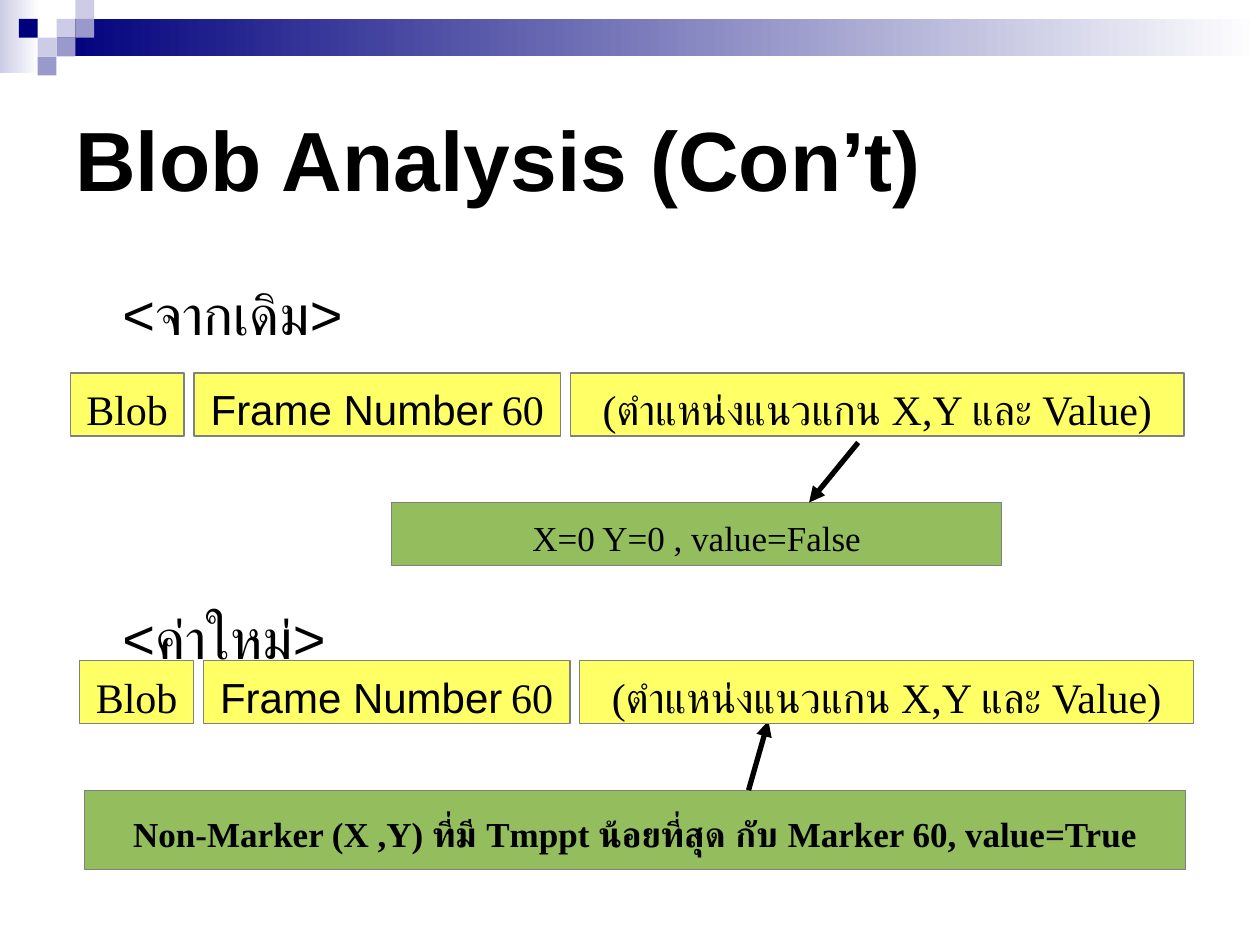
from dataclasses import dataclass

from lxml import etree
from pptx import Presentation
from pptx import util as u
from pptx.dml.color import RGBColor
from pptx.enum import shapes, text
from pptx.oxml.ns import qn
from pptx.slide import Slide

COLORS = {
    "black": "000000", "white": "FFFFFF", "navy": "00007D",
    "lavender": "CCCCE6", "violet": "9999CC",
    "yellow": "FFFF66", "green": "94BD5E", "gray": "808080",
}
SANS, SERIF = "Arial", "Times New Roman"


def rgb(name):
    return RGBColor.from_string(COLORS[name])


@dataclass
class SlideBuilder:
    slide: Slide
    ink: str = "black"
    outline: str = "gray"

    def style_font(self, font, size, name, bold=False):
        font.size, font.name, font.bold = u.Pt(size), name, bold
        font.color.rgb = rgb(self.ink)

    def shape(self, kind, left, top, width, height):
        shape = self.slide.shapes.add_shape(
            kind, u.Cm(left), u.Cm(top), u.Cm(width), u.Cm(height))
        shape.shadow.inherit = False
        return shape

    def block(self, left, top, width, height, color):
        block = self.shape(shapes.MSO_SHAPE.RECTANGLE, left, top, width, height)
        block.line.fill.background()
        block.fill.solid()
        block.fill.fore_color.rgb = rgb(color)

    def fade(self, left, top, width, height, color):
        band = self.shape(shapes.MSO_SHAPE.RECTANGLE, left, top, width, height)
        band.line.fill.background()
        band.fill.gradient()
        band.fill.gradient_angle = 0
        for stop, name in zip(band.fill.gradient_stops, (color, "white")):
            stop.color.rgb = rgb(name)

    def label(self, left, top, width, height, wording, size, bold=False,
              anchor=text.MSO_ANCHOR.TOP):
        label = self.slide.shapes.add_textbox(
            u.Cm(left), u.Cm(top), u.Cm(width), u.Cm(height))
        frame = label.text_frame
        frame.word_wrap, frame.vertical_anchor = True, anchor
        paragraph = frame.paragraphs[0]
        paragraph.text = wording
        self.style_font(paragraph.font, size, SANS, bold)

    def box(self, left, top, width, height, color, runs, bold=False):
        """Draw a filled box; runs is a list of (wording, size, font name)."""
        box = self.shape(shapes.MSO_SHAPE.ROUNDED_RECTANGLE,
                         left, top, width, height)
        box.adjustments[0] = 0
        box.fill.solid()
        box.fill.fore_color.rgb = rgb(color)
        box.line.color.rgb = rgb(self.outline)
        box.line.width = u.Pt(0.75)
        frame = box.text_frame
        frame.margin_left = frame.margin_right = 0
        frame.margin_top = frame.margin_bottom = 0
        frame.word_wrap = True
        frame.vertical_anchor = text.MSO_ANCHOR.MIDDLE
        paragraph = frame.paragraphs[0]
        paragraph.alignment = text.PP_ALIGN.CENTER
        paragraph.line_spacing = 1.16
        if len(runs) == 1:
            paragraph.text = runs[0][0]
            self.style_font(paragraph.font, *runs[0][1:], bold)
            return
        for wording, size, name in runs:
            run = paragraph.add_run()
            run.text = wording
            self.style_font(run.font, size, name, bold)

    def arrow(self, *ends):
        arrow = self.slide.shapes.add_connector(
            shapes.MSO_CONNECTOR.STRAIGHT, *(u.Cm(end) for end in ends))
        arrow.line.color.rgb = rgb(self.ink)
        arrow.line.width = u.Pt(3)
        etree.SubElement(arrow.line._get_or_add_ln(), qn("a:tailEnd"),
                         type="triangle")
        etree.SubElement(arrow._element.spPr, qn("a:effectLst"))

    def record(self, left, top):
        """Draw one row of blob fields, side by side with equal gaps."""
        fields = [
            (2.29, [("Blob", 24, SERIF)]),
            (7.39, [("Frame Number", 24, SANS), (" ", 18, SANS),
                    ("60", 24, SERIF)]),
            (12.37, [("(ตำแหน่งแนวแกน X,Y และ Value)", 24, SERIF)]),
        ]
        for width, runs in fields:
            self.box(left, top, width, 1.27, "yellow", runs)
            left += width + 0.2


def main():
    presentation = Presentation()
    presentation.slide_width, presentation.slide_height = u.Cm(25.4), u.Cm(19.05)
    builder = SlideBuilder(
        presentation.slides.add_slide(presentation.slide_layouts[6]))

    # Header bands and checkered squares
    unit = 0.38
    builder.fade(0, 0, 0.79, 1.47, "lavender")
    builder.fade(3 * unit, unit, 25.4 - 3 * unit, 2 * unit, "navy")
    squares = [(3, 1, "lavender"), (4, 0, "lavender"), (4, 1, "violet"),
               (2, 2, "lavender"), (1, 1, "navy"), (3, 2, "violet"),
               (2, 3, "violet")]
    for column, row, color in squares:
        builder.block(column * unit, row * unit, unit, unit, color)

    # Title and section labels
    builder.label(1.27, 1.27, 22.86, 3.81, "Blob Analysis (Con’t)", 48, True,
                  text.MSO_ANCHOR.MIDDLE)
    for top, wording in ((5.51, "<จากเดิม>"), (12.04, "<ค่าใหม่>")):
        builder.label(2.22, top, 21.9, 1.5, wording, 32)

    # Values with arrows to and from the records
    builder.box(7.9, 10.13, 12.29, 1.27, "green",
                [("X=0 Y=0 , value=False", 20, SERIF)])
    builder.arrow(17.3, 8.92, 16.31, 10.13)
    builder.box(1.7, 15.93, 22.2, 1.6, "green",
                [("Non-Marker (X ,Y) ที่มี Tmppt น้อยที่สุด กับ Marker 60, value=True",
                  20, SERIF)], bold=True)
    builder.arrow(15.09, 15.93, 15.49, 14.53)

    # Old and new records
    builder.record(1.42, 7.52)
    builder.record(1.61, 13.32)

    presentation.save("out.pptx")


if __name__ == "__main__":
    main()
